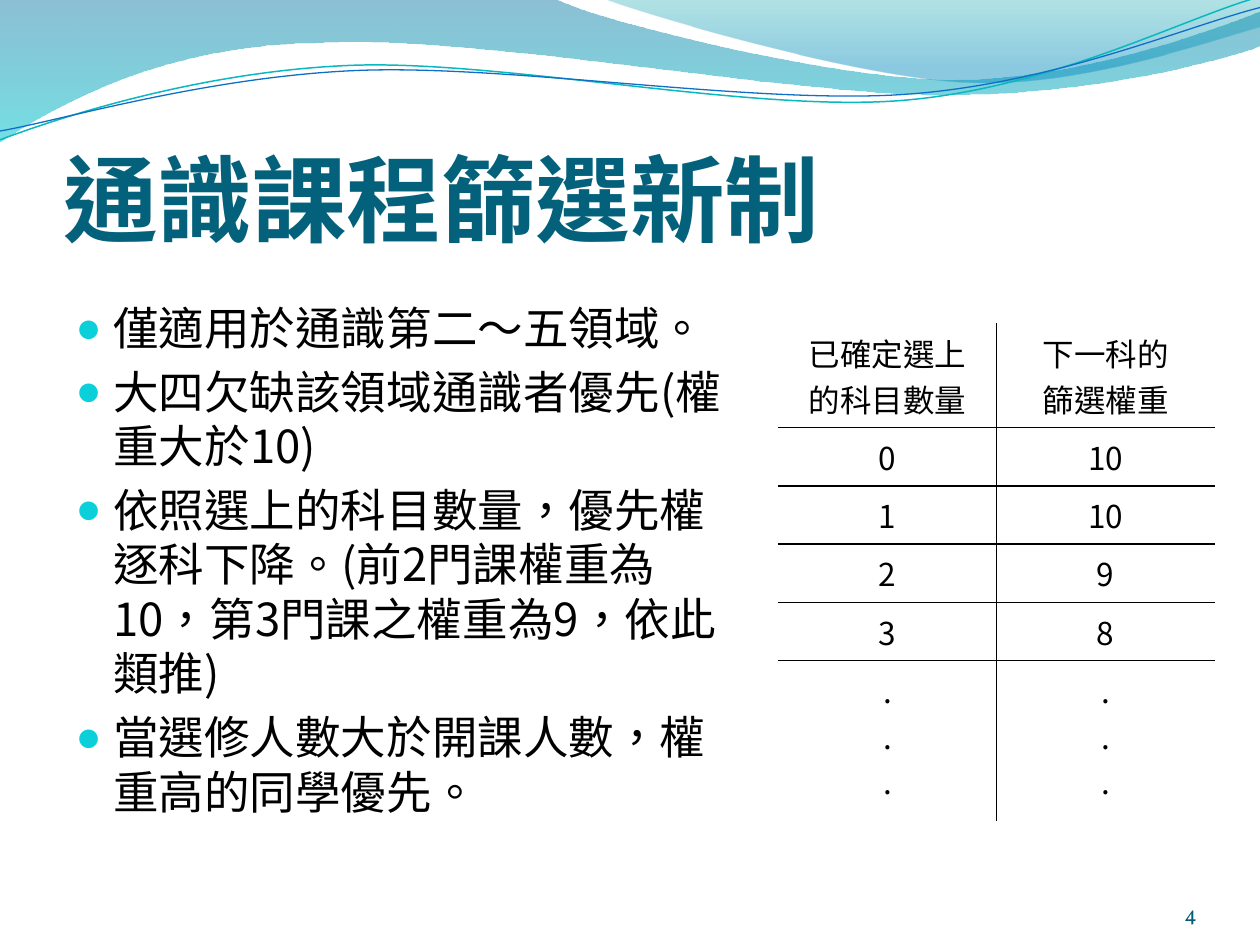
from lxml import etree
from pptx import Presentation
from pptx.dml.color import RGBColor
from pptx.enum.lang import MSO_LANGUAGE_ID
from pptx.enum.text import MSO_ANCHOR, PP_ALIGN
from pptx.oxml.ns import qn
from pptx.util import Inches, Pt

LEFT, CENTER, RIGHT = PP_ALIGN.LEFT, PP_ALIGN.CENTER, PP_ALIGN.RIGHT
TOP, MIDDLE, BOTTOM = MSO_ANCHOR.TOP, MSO_ANCHOR.MIDDLE, MSO_ANCHOR.BOTTOM
TAIWAN = MSO_LANGUAGE_ID.TRADITIONAL_CHINESE
BODY_FONT = "Noto Sans CJK SC"

BANDS = [
    ([(0, -0.01), (4.4, -0.01),
      (4.76, 0.17, 6.64, 0.63, 7.58, 0.63), (8.53, 0.63, 9.58, 0.26, 10, 0.09),
      (10.01, 0.36),
      (9.83, 0.44, 8.7, 0.76, 7.46, 0.75), (6.22, 0.75, 3.82, 0.28, 2.57, 0.34),
      (1.29, 0.35, 0.46, 0.83, -0.01, 1.13)],
     [(0, "0074A1", 45), (100, "00C6CF", 55)]),
    ([(4.79, -0.01),
      (5.09, 0.11, 6.82, 0.62, 7.69, 0.65), (8.56, 0.69, 9.61, 0.32, 10, 0.21),
      (10, 0)],
     [(0, "00A1A9", 30), (80, "008BBF", 45)]),
]
STRANDS = [
    ([(0, 1.11), (0.48, 0.93, 1.58, 0.57, 2.77, 0.52),
      (3.95, 0.47, 5.93, 0.89, 7.13, 0.8), (8.33, 0.71, 9.38, 0.15, 9.98, -0.02)],
     "0AB8BF", 0.85),
    ([(0, 1.04), (0.47, 0.96, 1.64, 0.61, 2.83, 0.56),
      (4.03, 0.51, 5.97, 0.83, 7.17, 0.75), (8.36, 0.67, 9.41, 0.21, 10, 0.06)],
     "0F6FC6", 0.75),
]
RULES = [
    "僅適用於通識第二～五領域。",
    "大四欠缺該領域通識者優先(權重大於10)",
    "依照選上的科目數量，優先權逐科下降。(前2門課權重為10，第3門課之權重為9，依此類推)",
    "當選修人數大於開課人數，權重高的同學優先。",
]
WEIGHTS = [
    ("已確定選上\n的科目數量", "下一科的\n篩選權重"),
    ("0", "10"), ("1", "10"), ("2", "9"), ("3", "8"),
    (".\n.\n.", ".\n.\n."),
]
ROW_HEIGHTS = [0.71, 0.39, 0.39, 0.38, 0.38, 1.28]


def color(hex_value):
    """Return the colour for a hex string."""
    return RGBColor.from_string(hex_value)


def add(parent, tag, **attributes):
    """Append a DrawingML element with the given attributes."""
    values = {key: str(value) for key, value in attributes.items()}
    return etree.SubElement(parent, qn(tag), values)


def place(shape, box):
    """Move and size a shape to a box in inches."""
    shape.left, shape.top, shape.width, shape.height = map(Inches, box)


def style(paragraph, size, hex_value, name, bold=False):
    """Set the font of a whole paragraph."""
    font = paragraph.font
    font.size, font.name, font.bold = Pt(size), name, bold
    font.color.rgb = color(hex_value)
    font.language_id = TAIWAN
    add(font._element, "a:ea", typeface=name)


def add_outline(slide, segments, close):
    """Draw a freeform whose six-number segments are cubic curves."""
    ends = [tuple(map(Inches, segment[-2:])) for segment in segments]
    builder = slide.shapes.build_freeform(*ends[0])
    builder.add_line_segments(ends[1:], close=close)
    outline = builder.convert_to_shape()
    outline.shadow.inherit = False
    steps = list(outline._element.iter(qn("a:lnTo")))
    for step, segment in zip(steps, segments[1:]):
        if len(segment) == 6:
            curve = etree.Element(qn("a:cubicBezTo"))
            for x, y in zip(segment[::2], segment[1::2]):
                add(curve, "a:pt", x=Inches(x) - outline.left,
                    y=Inches(y) - outline.top)
            step.getparent().replace(step, curve)
    return outline


def fill_gradient(shape, stops):
    """Fill a shape from top to bottom with translucent stops."""
    shape.fill.background()
    blank = shape._element.spPr.find(qn("a:noFill"))
    gradient = etree.Element(qn("a:gradFill"), rotWithShape="1")
    stop_list = add(gradient, "a:gsLst")
    for position, hex_value, opacity in stops:
        stop = add(stop_list, "a:gs", pos=position * 1000)
        add(add(stop, "a:srgbClr", val=hex_value), "a:alpha", val=opacity * 1000)
    add(gradient, "a:lin", ang=90 * 60000, scaled=0)
    blank.getparent().replace(blank, gradient)


def add_waves(slide):
    """Draw the wave bands and strands along the top edge."""
    for segments, stops in BANDS:
        band = add_outline(slide, segments, True)
        fill_gradient(band, stops)
        band.line.fill.background()
    for segments, hex_value, width in STRANDS:
        strand = add_outline(slide, segments, False)
        strand.fill.background()
        strand.line.color.rgb = color(hex_value)
        strand.line.width = Pt(width)


def add_title(slide, box):
    """Fill the title placeholder."""
    title = slide.shapes.title
    place(title, box)
    frame = title.text_frame
    frame.text = "通識課程篩選新制"
    frame.vertical_anchor = BOTTOM
    frame.margin_left = frame.margin_right = frame.margin_bottom = 0
    heading = frame.paragraphs[0]
    heading.alignment = LEFT
    style(heading, 54, "04617B", "Arial", True)


def add_rules(slide, box):
    """Fill the body placeholder with the bulleted rules."""
    body = slide.placeholders[1]
    place(body, box)
    body.text_frame.text = "\n".join(RULES)
    for rule in body.text_frame.paragraphs:
        properties = rule._p.get_or_add_pPr()
        properties.set("marL", str(Inches(0.3)))
        properties.set("indent", str(-Inches(0.3)))
        add(add(properties, "a:buClr"), "a:srgbClr", val="0BD0D9")
        add(properties, "a:buSzPct", val=95000)
        add(properties, "a:buFont", typeface="Arial")
        add(properties, "a:buChar", char="●")
        style(rule, 26, "000000", BODY_FONT)


def add_borders(cell, sides):
    """Draw thin black borders on the given sides of a cell."""
    properties = cell._tc.get_or_add_tcPr()
    for index, side in enumerate(s for s in ("L", "R", "T", "B") if s in sides):
        border = etree.Element(qn("a:ln" + side), w=str(Pt(1)))
        add(add(border, "a:solidFill"), "a:srgbClr", val="000000")
        properties.insert(index, border)


def add_weights(slide, box):
    """Add the table of weights, ruled only between its cells."""
    table = slide.shapes.add_table(len(WEIGHTS), 2, *map(Inches, box)).table
    table.first_row = table.horz_banding = False
    last = len(WEIGHTS) - 1
    for row, (height, values) in enumerate(zip(ROW_HEIGHTS, WEIGHTS)):
        table.rows[row].height = Inches(height)
        for column, value in enumerate(values):
            cell = table.cell(row, column)
            cell.text = value
            cell.fill.background()
            cell.vertical_anchor = MIDDLE if (row, column) == (0, 1) else TOP
            sides = "L" if column else "R"
            sides += ("T" if row else "") + ("B" if row < last else "")
            add_borders(cell, sides)
            for line in cell.text_frame.paragraphs:
                line.alignment = CENTER
                style(line, 18, "000000", BODY_FONT)


def add_page_number(slide, box):
    """Add the page number at the lower right."""
    frame = slide.shapes.add_textbox(*map(Inches, box)).text_frame
    frame.word_wrap = True
    frame.vertical_anchor = BOTTOM
    frame.margin_left = frame.margin_right = 0
    frame.margin_top = frame.margin_bottom = 0
    frame.text = "4"
    number = frame.paragraphs[0]
    number.alignment = RIGHT
    style(number, 12, "045C75", "Vollkorn")


def main():
    """Build and save the slide."""
    deck = Presentation()
    deck.slide_width, deck.slide_height = Inches(10), Inches(7.5)
    slide = deck.slides.add_slide(deck.slide_layouts[1])
    add_waves(slide)
    add_title(slide, (0.5, 0.77, 9, 1.25))
    add_rules(slide, (0.5, 2.33, 5.44, 4.72))
    add_weights(slide, (6.18, 2.57, 3.46, 3.59))
    add_page_number(slide, (8.67, 6.95, 0.83, 0.4))
    deck.save("out.pptx")


if __name__ == "__main__":
    main()
